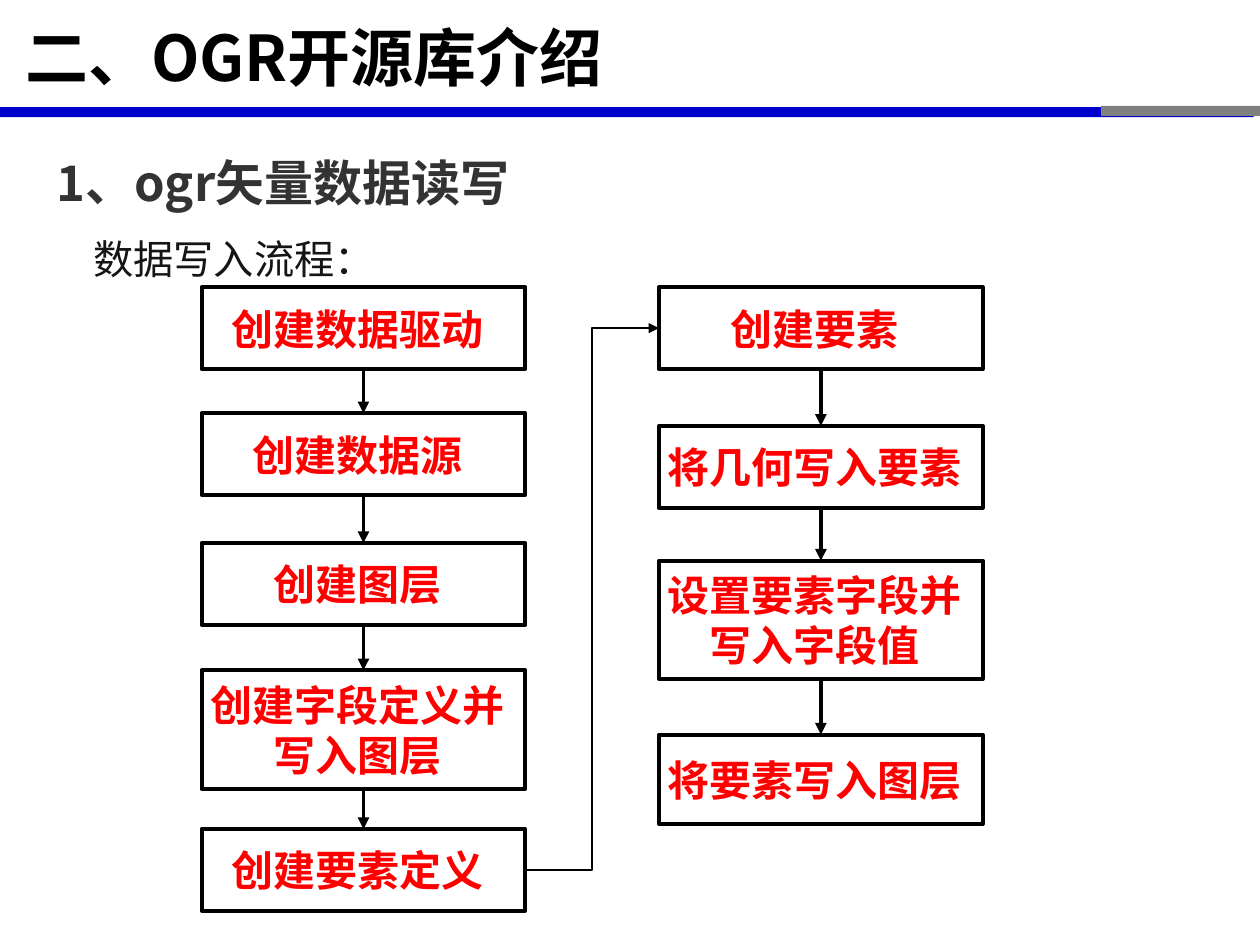
from pptx import Presentation
from pptx import util as u
from pptx.dml.color import RGBColor
from pptx.enum import shapes, text
from pptx.oxml.ns import qn
from lxml import etree

FONT = "Noto Sans CJK SC"
BOX_WIDTH = 2.57


def color(hex_string):
    """Turn a hex string into a colour."""
    return RGBColor.from_string(hex_string)


def write(tf, words, size, hex_string, bold=True, align=None):
    """Write one formatted paragraph into a text frame and return it."""
    tf.text = words
    tf.word_wrap = True
    p = tf.paragraphs[0]
    p.alignment = align
    for r in p.runs:
        r.font.size = u.Pt(size)
        r.font.bold = bold
        r.font.name = FONT
        r.font.color.rgb = color(hex_string)
        etree.SubElement(r._r.get_or_add_rPr(), qn("a:ea"), typeface=FONT)
    return p


def add_bar(s, left, top, width, height, fill):
    """Draw one plain band of the header rule."""
    sp = s.shapes.add_shape(shapes.MSO_SHAPE.RECTANGLE, u.Inches(left), u.Inches(top),
                            u.Inches(width), u.Inches(height))
    sp.shadow.inherit = False
    sp.fill.solid()
    sp.fill.fore_color.rgb = color(fill)
    sp.line.fill.background()


def add_header(s, left, top, width, height):
    """Place the title and the two-colour rule under it."""
    add_bar(s, 0, 0.85, 9.95, 0.08, "0000CC")
    add_bar(s, 8.74, 0.84, 1.26, 0.08, "808080")
    title = s.shapes.title
    title.left, title.top = u.Inches(left), u.Inches(top)
    title.width, title.height = u.Inches(width), u.Inches(height)
    tf = title.text_frame
    tf.vertical_anchor = text.MSO_ANCHOR.MIDDLE
    p = write(tf, "二、OGR开源库介绍", 36, "000000", align=text.PP_ALIGN.LEFT)
    pPr = p._p.get_or_add_pPr()
    pPr.set("marL", "0")
    pPr.set("indent", str(u.Inches(0.1)))


def add_heading(s, left, top, width, height, words, size, hex_string, bold, spacing):
    """Place a heading in a text box with the given line spacing."""
    sp = s.shapes.add_textbox(u.Inches(left), u.Inches(top), u.Inches(width), u.Inches(height))
    p = write(sp.text_frame, words, size, hex_string, bold, text.PP_ALIGN.JUSTIFY)
    p.line_spacing = spacing


def add_step(s, left, top, height, words):
    """Draw one outlined step of the flow."""
    sp = s.shapes.add_shape(shapes.MSO_SHAPE.RECTANGLE, u.Inches(left), u.Inches(top),
                            u.Inches(BOX_WIDTH), u.Inches(height))
    sp.shadow.inherit = False
    sp.fill.background()
    sp.line.color.rgb = color("000000")
    sp.line.width = u.Pt(2.25)
    tf = sp.text_frame
    tf.margin_left, tf.margin_right = 0, u.Inches(0.1)
    tf.vertical_anchor = text.MSO_ANCHOR.MIDDLE
    write(tf, words, 24, "FF0000", align=text.PP_ALIGN.CENTER)
    return sp


def add_arrow(s, kind, start, start_site, end, end_site, width):
    """Join two steps with an arrow."""
    c = s.shapes.add_connector(kind, 0, 0, 0, 0)
    c.begin_connect(start, start_site)
    c.end_connect(end, end_site)
    c.line.color.rgb = color("000000")
    c.line.width = u.Pt(width)
    etree.SubElement(c.line._get_or_add_ln(), qn("a:tailEnd"), type="triangle")
    etree.SubElement(c._element.spPr, qn("a:effectLst"))


def add_column(s, left, steps):
    """Stack steps of (top, height, words) joined by downward arrows."""
    boxes = [add_step(s, left, *step) for step in steps]
    for upper, lower in zip(boxes, boxes[1:]):
        add_arrow(s, shapes.MSO_CONNECTOR.STRAIGHT, upper, 2, lower, 0, 2.25)
    return boxes


def add_flow(s, left, right):
    """Draw both columns of the flow and the bent arrow between them."""
    setup = add_column(s, left, [
        (2.28, 0.65, "创建数据驱动"),
        (3.28, 0.65, "创建数据源"),
        (4.31, 0.65, "创建图层"),
        (5.32, 0.94, "创建字段定义并写入图层"),
        (6.58, 0.65, "创建要素定义"),
    ])
    features = add_column(s, right, [
        (2.28, 0.65, "创建要素"),
        (3.38, 0.65, "将几何写入要素"),
        (4.45, 0.94, "设置要素字段并写入字段值"),
        (5.83, 0.71, "将要素写入图层"),
    ])
    add_arrow(s, shapes.MSO_CONNECTOR.ELBOW, setup[-1], 3, features[0], 1, 1.5)


def main():
    """Build the slide and save it."""
    prs = Presentation()
    prs.slide_width, prs.slide_height = u.Inches(10), u.Inches(7.5)
    s = prs.slides.add_slide(prs.slide_layouts[5])
    add_header(s, 0, 0.01, 9.86, 0.87)
    add_heading(s, 0.35, 0.93, 9.31, 0.72, "1、ogr矢量数据读写", 28, "333333", True, 1.5)
    add_heading(s, 0.64, 1.43, 2.57, 0.76, "数据写入流程：", 23, "151515", False, 2)
    add_flow(s, 1.6, 5.23)
    prs.save("out.pptx")


if __name__ == "__main__":
    main()
